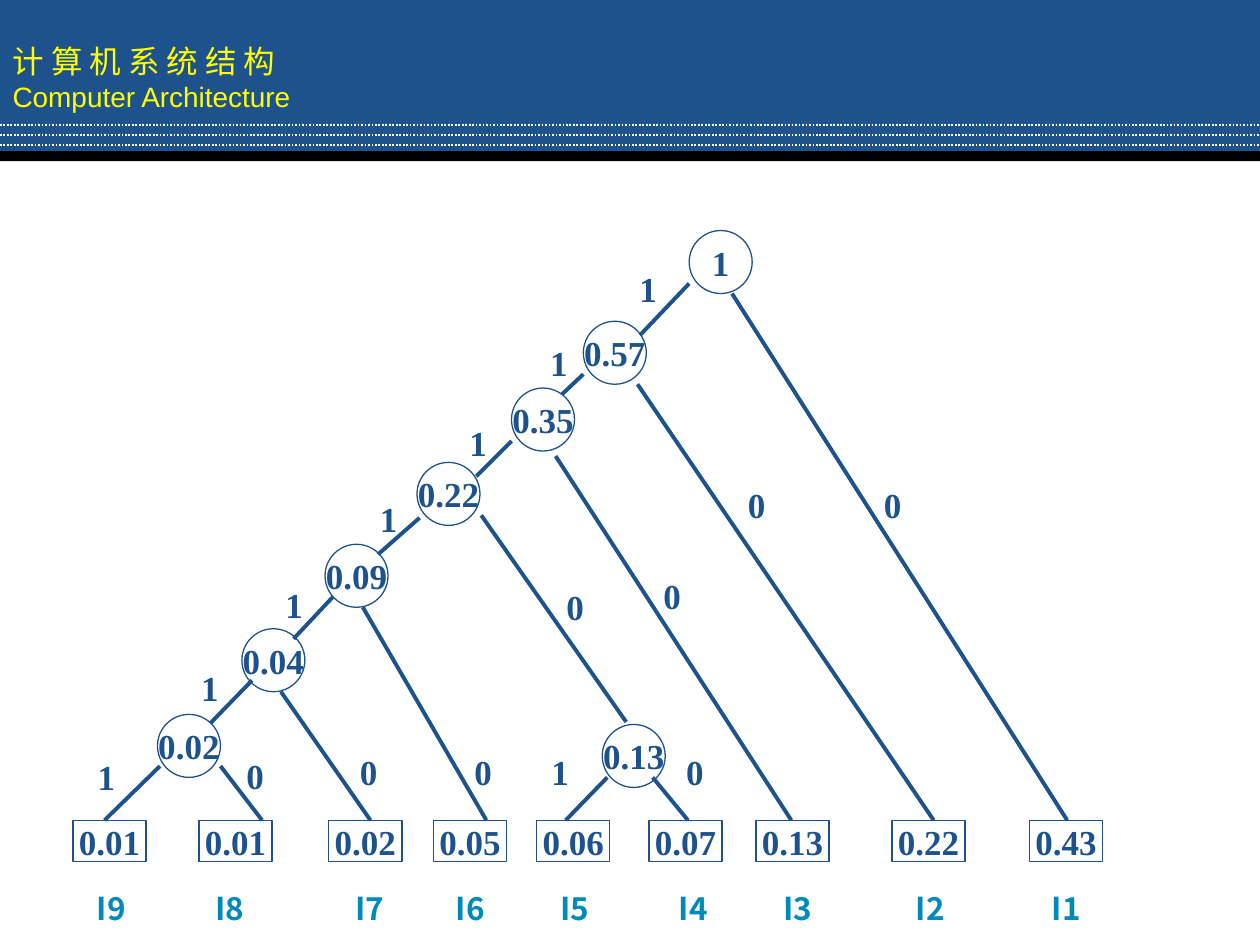
import pptx
import pptx.util
import pptx.dml.color
import pptx.enum.dml
import pptx.enum.shapes
import pptx.enum.text
import pptx.oxml
import pptx.oxml.ns
from pptx.util import Inches

BLUE, TEAL, YELLOW, WHITE, BLACK = "1D528D", "008AB9", "FFFF00", "FFFFFF", "000000"
SERIF, SANS, CHINESE = "Times New Roman", "Arial", "Noto Sans CJK SC"
SHAPES = pptx.enum.shapes.MSO_SHAPE
ALIGN = pptx.enum.text.PP_ALIGN
MIDDLE = pptx.enum.text.MSO_ANCHOR.MIDDLE

# Content: title lines as (text, size, font)
title_lines = [("计 算 机 系 统 结 构", 18, CHINESE), ("Computer Architecture", 16, SANS)]
rule_tops = [0.99, 1.07, 1.15]

# Inner nodes of the Huffman tree: probability, left, top
nodes = [
    ("1", 5.47, 1.83), ("0.57", 4.63, 2.55), ("0.35", 4.06, 3.08), ("0.22", 3.31, 3.67),
    ("0.09", 2.58, 4.32), ("0.04", 1.92, 4.99), ("0.02", 1.25, 5.67), ("0.13", 4.78, 5.75),
]

# Leaves: instruction, probability, box left, name left
leaves = [
    ("I9", "0.01", 0.58, 0.67), ("I8", "0.01", 1.58, 1.61), ("I7", "0.02", 2.61, 2.72),
    ("I6", "0.05", 3.44, 3.52), ("I5", "0.06", 4.26, 4.35), ("I4", "0.07", 5.15, 5.29),
    ("I3", "0.13", 6.00, 6.12), ("I2", "0.22", 7.08, 7.17), ("I1", "0.43", 8.17, 8.25),
]

# Branches by code bit: start, end, corner of the bit's text box
branches = {
    "1": [
        ((5.47, 2.25), (5.08, 2.66), (4.81, 2.07)),
        ((4.63, 2.97), (4.46, 3.13), (4.10, 2.66)),
        ((4.06, 3.50), (3.78, 3.78), (3.46, 3.30)),
        ((3.33, 4.11), (3.00, 4.40), (2.75, 3.90)),
        ((2.64, 4.74), (2.33, 5.07), (2.00, 4.58)),
        ((2.00, 5.40), (1.67, 5.74), (1.33, 5.24)),
        ((1.27, 6.08), (0.83, 6.51), (0.51, 5.95)),
        ((4.82, 6.17), (4.49, 6.51), (4.11, 5.91)),
    ],
    "0": [
        ((5.81, 2.33), (8.47, 6.51), (6.75, 3.79)),
        ((5.06, 3.05), (7.41, 6.51), (5.67, 3.79)),
        ((4.41, 3.62), (6.28, 6.51), (5.00, 4.51)),
        ((3.82, 4.09), (4.97, 5.73), (4.23, 4.60)),
        ((2.88, 4.82), (3.86, 6.51), (3.50, 5.91)),
        ((2.23, 5.49), (2.94, 6.51), (2.59, 5.91)),
        ((1.75, 6.08), (2.08, 6.51), (1.69, 5.94)),
        ((5.18, 6.17), (5.46, 6.51), (5.18, 5.91)),
    ],
}


def paint(target, color):
    """Give a fill, line or font colour format a hex colour."""
    target.rgb = pptx.dml.color.RGBColor.from_string(color)


def fill_shape(shape, color):
    shape.fill.solid()
    paint(shape.fill.fore_color, color)


def format_para(para, size, font, color, bold, align):
    para.alignment = align
    for span in para.runs:
        span.font.size = pptx.util.Pt(size)
        span.font.bold = bold
        span.font.name = font
        paint(span.font.color, color)
        latin = span.font._element.find(pptx.oxml.ns.qn("a:latin"))
        east_asian = pptx.oxml.parse_xml(
            f'<a:ea {pptx.oxml.ns.nsdecls("a")} typeface="{font}"/>')
        latin.addnext(east_asian)


def write(box, text, size, font, color, align=ALIGN.CENTER, wrap=False):
    box.text_frame.text = text
    box.text_frame.word_wrap = wrap
    format_para(box.text_frame.paragraphs[0], size, font, color, True, align)


def add_box(page, kind, left, top, width, height, text):
    shape = page.shapes.add_shape(
        kind, Inches(left), Inches(top), Inches(width), Inches(height))
    shape.shadow.inherit = False
    fill_shape(shape, WHITE)
    paint(shape.line.color, BLUE)
    shape.line.width = pptx.util.Pt(0.75)
    shape.text_frame.vertical_anchor = MIDDLE
    write(shape, text, 20, SERIF, BLUE)


def add_label(page, left, top, width, height):
    return page.shapes.add_textbox(
        Inches(left), Inches(top), Inches(width), Inches(height))


def add_line(page, start, end, color, width):
    line = page.shapes.add_connector(
        pptx.enum.shapes.MSO_CONNECTOR.STRAIGHT, *map(Inches, start + end))
    paint(line.line.color, color)
    line.line.width = pptx.util.Pt(width)
    line._element.spPr.append(
        pptx.oxml.parse_xml(f'<a:effectLst {pptx.oxml.ns.nsdecls("a")}/>'))
    return line


def add_header(page):
    title = page.shapes.title
    title.left, title.top, title.width, title.height = map(Inches, (0, 0, 10, 1.23))
    fill_shape(title, BLUE)
    frame = title.text_frame
    frame.text = "\n".join(text for text, _, _ in title_lines)
    frame.auto_size = pptx.enum.text.MSO_AUTO_SIZE.NONE
    frame.vertical_anchor = MIDDLE
    for para, (_, size, font) in zip(frame.paragraphs, title_lines):
        format_para(para, size, font, YELLOW, False, ALIGN.LEFT)

    band = page.shapes.add_shape(
        SHAPES.RECTANGLE, Inches(0), Inches(1.2), Inches(10), Inches(0.08))
    band.shadow.inherit = False
    fill_shape(band, BLACK)
    band.line.fill.background()

    for top in rule_tops:
        rule = add_line(page, (0, top), (10, top), WHITE, 1)
        rule.line.dash_style = pptx.enum.dml.MSO_LINE.ROUND_DOT


def add_tree(page):
    # Nodes and leaves
    for probability, left, top in nodes:
        add_box(page, SHAPES.OVAL, left, top, 0.5, 0.5, probability)
    for name, probability, left, name_left in leaves:
        add_box(page, SHAPES.RECTANGLE, left, 6.51, 0.58, 0.33, probability)
        label = add_label(page, name_left, 7.01, 0.44, 0.4)
        write(label, name, 18, CHINESE, TEAL, ALIGN.LEFT)

    # Branches and their code bits
    for bit, edges in branches.items():
        for start, end, corner in edges:
            add_line(page, start, end, BLUE, 2.25)
            write(add_label(page, *corner, 0.67, 0.44), bit, 20, SERIF, BLUE, wrap=True)


def main():
    deck = pptx.Presentation()
    deck.slide_width, deck.slide_height = Inches(10), Inches(7.5)
    page = deck.slides.add_slide(deck.slide_layouts[5])
    add_header(page)
    add_tree(page)
    deck.save("out.pptx")


if __name__ == "__main__":
    main()
